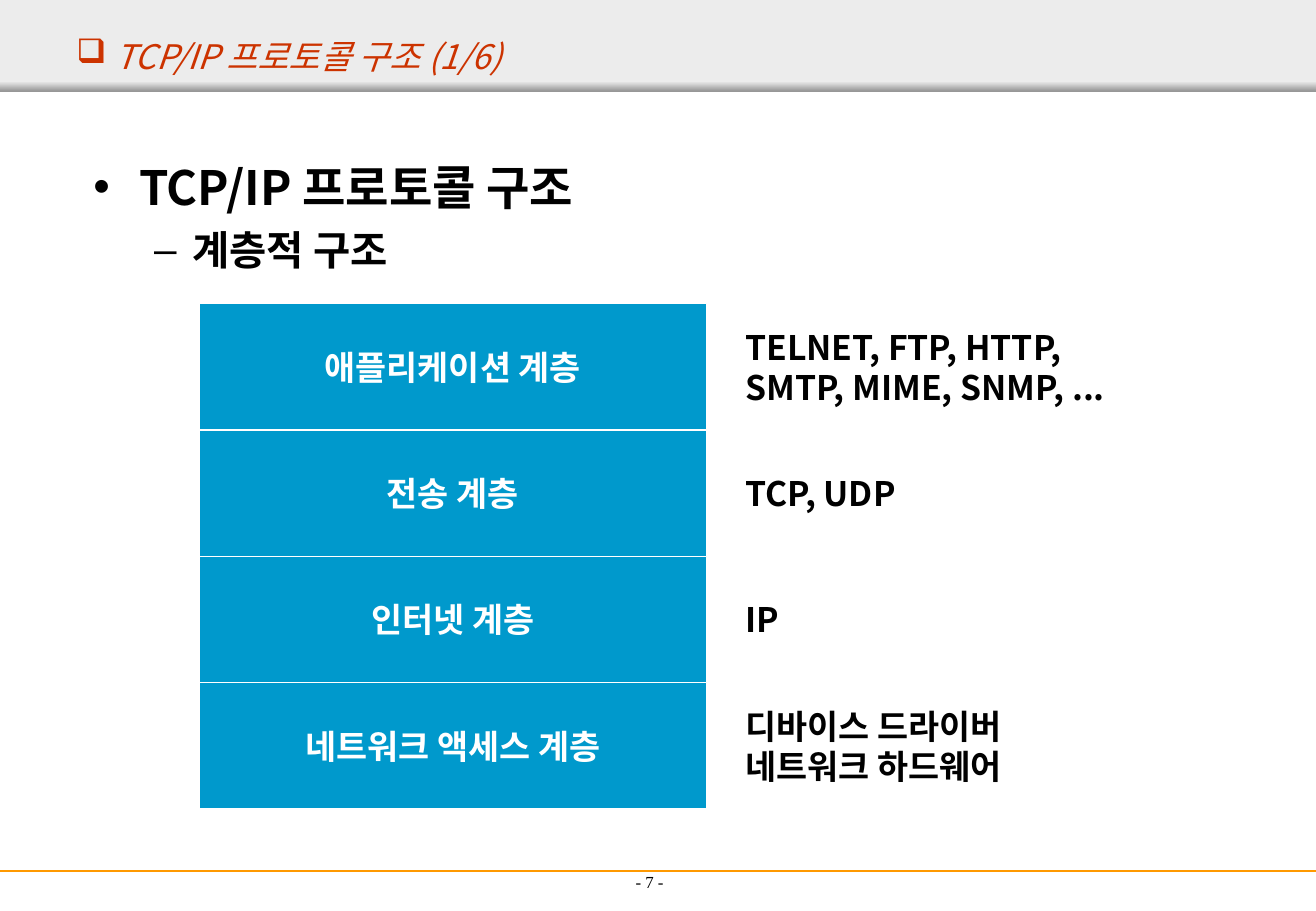
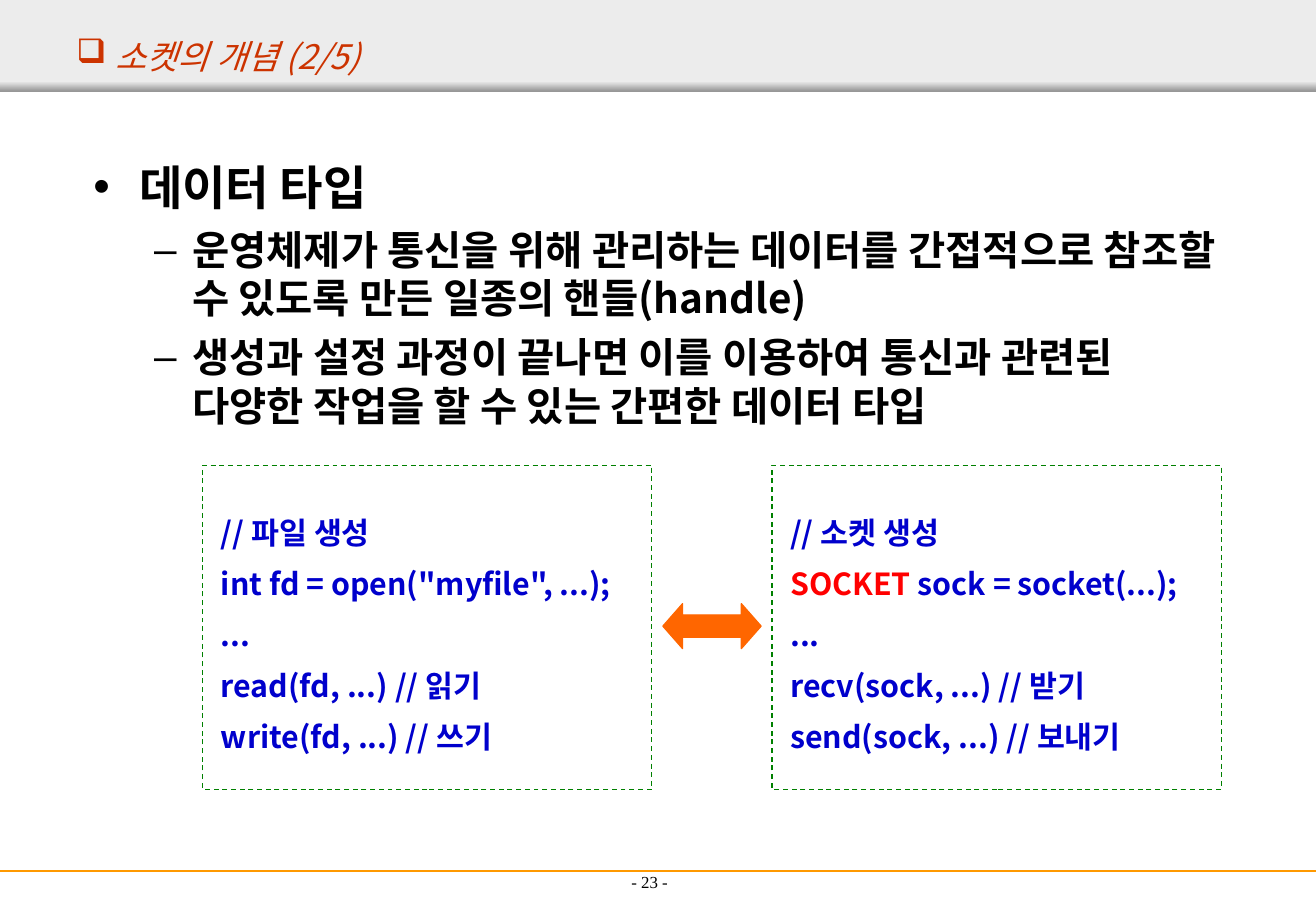
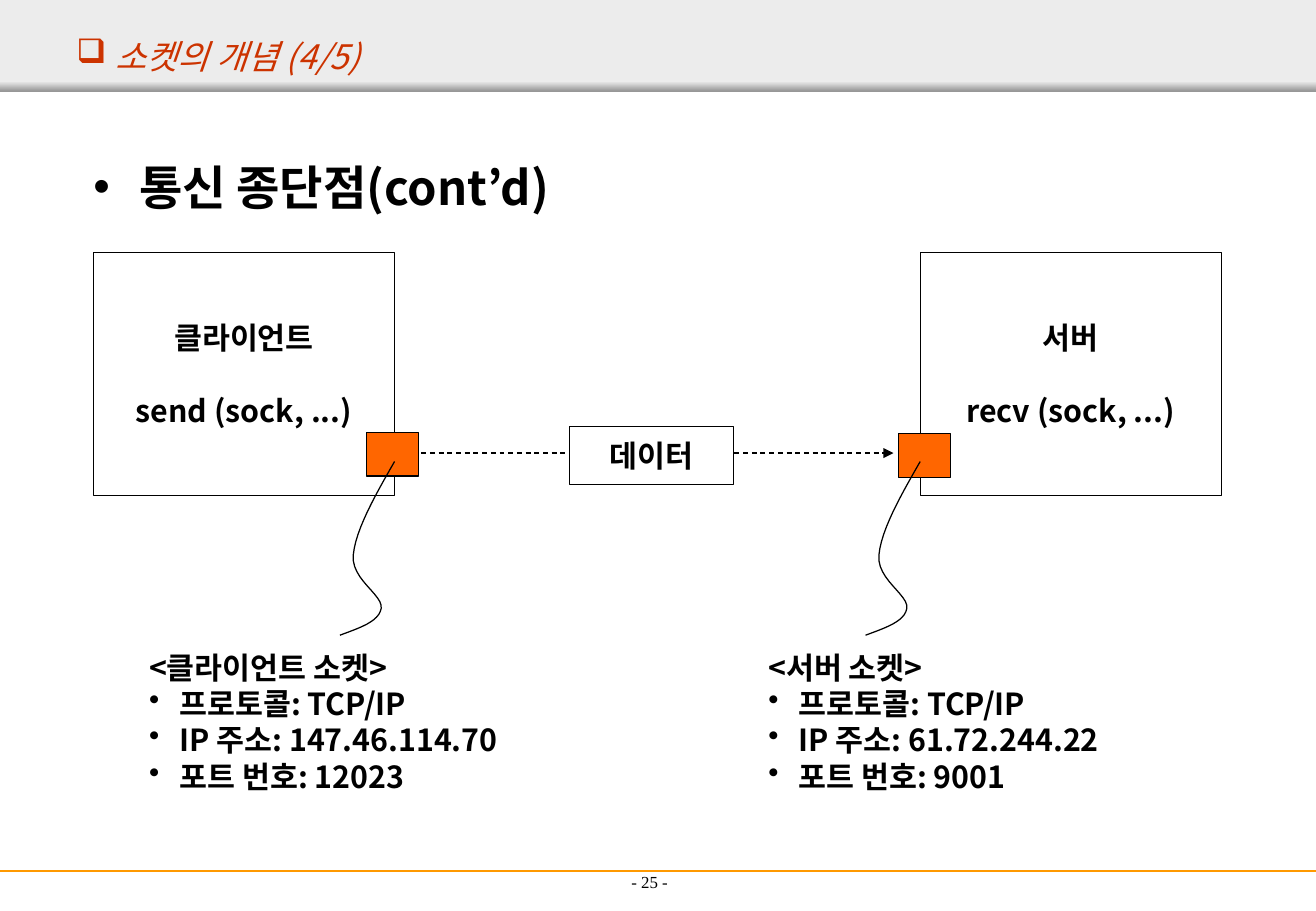
from lxml import etree
from pptx import Presentation
from pptx.dml.color import RGBColor
from pptx.enum.dml import MSO_LINE
from pptx.enum.shapes import MSO_CONNECTOR, MSO_SHAPE
from pptx.enum.text import MSO_ANCHOR, MSO_AUTO_SIZE, PP_ALIGN
from pptx.oxml.ns import qn
from pptx.util import Inches, Pt

RECTANGLE = MSO_SHAPE.RECTANGLE
DOUBLE_ARROW = MSO_SHAPE.LEFT_RIGHT_ARROW
STRAIGHT = MSO_CONNECTOR.STRAIGHT
DASH = MSO_LINE.DASH
LEFT, CENTER = PP_ALIGN.LEFT, PP_ALIGN.CENTER
TOP, MIDDLE, BOTTOM = MSO_ANCHOR.TOP, MSO_ANCHOR.MIDDLE, MSO_ANCHOR.BOTTOM

WIDTH, HEIGHT = 10.84, 7.5
SANS, SERIF = "Noto Sans CJK KR", "Times New Roman"
COLORS = {
    "band": "ECECEC", "band_edge": "979797", "rule": "FF9900", "title": "CC3300",
    "text": "000000", "white": "FFFFFF", "layer": "0099CC", "code": "0000CC",
    "keyword": "FF0000", "code_frame": "008000", "accent": "FF6600",
}

LAYERS = [
    ("애플리케이션 계층", ["TELNET, FTP, HTTP,", "SMTP, MIME, SNMP, ..."]),
    ("전송 계층", ["TCP, UDP"]),
    ("인터넷 계층", ["IP"]),
    ("네트워크 액세스 계층", ["디바이스 드라이버", "네트워크 하드웨어"]),
]
CODE_BOXES = [
    ["// 파일 생성", 'int fd = open("myfile", ...);', "...",
     "read(fd, ...) // 읽기", "write(fd, ...) // 쓰기"],
    ["// 소켓 생성", [("SOCKET", "keyword"), (" sock = socket(...);", "code")], "...",
     "recv(sock, ...) // 받기", "send(sock, ...) // 보내기"],
]
ENDPOINTS = [
    {"lines": ["클라이언트", "send (sock, ...)"], "box": 0.77, "edge": 3.25,
     "socket": (3.02, 3.56), "note": (1.13, 3.84), "heading": "<클라이언트 소켓>",
     "facts": ["프로토콜: TCP/IP", "IP 주소: 147.46.114.70", "포트 번호: 12023"]},
    {"lines": ["서버", "recv (sock, ...)"], "box": 7.58, "edge": 7.58,
     "socket": (7.4, 3.57), "note": (6.23, 3.11), "heading": "<서버 소켓>",
     "facts": ["프로토콜: TCP/IP", "IP 주소: 61.72.244.22", "포트 번호: 9001"]},
]
LEADER_CURVES = [
    [(0, 0), (-0.16, 0.28), (-0.32, 0.56), (-0.34, 0.77)],
    [(-0.34, 0.77), (-0.36, 0.97), (-0.09, 1.1), (-0.11, 1.21)],
    [(-0.11, 1.21), (-0.13, 1.32), (-0.29, 1.37), (-0.45, 1.43)],
]
CURVE_STEPS = 12


def rgb(name):
    return RGBColor.from_string(COLORS[name])


def place(shape, left, top, width, height):
    shape.left, shape.top = Inches(left), Inches(top)
    shape.width, shape.height = Inches(width), Inches(height)


def set_font(font, size, color, name=SANS, bold=True, italic=False):
    font.size, font.name, font.bold, font.italic = Pt(size), name, bold, italic
    font.color.rgb = rgb(color)
    latin = font._element.find(qn("a:latin"))
    east_asian = etree.Element(qn("a:ea"), typeface=name)
    latin.addnext(east_asian)


def add_bullet(paragraph, mark, indent):
    properties = paragraph._p.get_or_add_pPr()
    properties.set("marL", str(Inches(indent)))
    properties.set("indent", str(-Inches(indent)))
    etree.SubElement(properties, qn("a:buChar"), char=mark)


def write(shape, lines, size, color="text", align=LEFT, anchor=MIDDLE, gap=0,
          spacing=None, bullets=None, **font_options):
    frame = shape.text_frame
    frame.word_wrap, frame.auto_size = True, MSO_AUTO_SIZE.NONE
    frame.vertical_anchor = anchor
    for index, line in enumerate(lines):
        para = frame.add_paragraph() if index else frame.paragraphs[0]
        para.alignment = align
        para.space_before = Pt(gap if index else 0)
        if spacing:
            para.line_spacing = spacing
        if bullets and bullets[index]:
            add_bullet(para, *bullets[index])
        set_font(para.font, size, color, **font_options)
        if isinstance(line, str):
            para.add_run().text = line
            continue
        for text, span_color in line:
            span = para.add_run()
            span.text = text
            span.font.color.rgb = rgb(span_color)


def style_line(line, color, width=0.75, dash=None):
    line.color.rgb = rgb(color)
    line.width = Pt(width)
    if dash:
        line.dash_style = dash


def add_box(page, area, fill=None, line=None, dash=None, kind=RECTANGLE):
    box = page.shapes.add_shape(kind, *map(Inches, area))
    box.shadow.inherit = False
    if fill:
        box.fill.solid()
        box.fill.fore_color.rgb = rgb(fill)
    else:
        box.fill.background()
    if line:
        style_line(box.line, line, dash=dash)
    else:
        box.line.fill.background()
    return box


def add_text(page, area, lines, size, **options):
    box = page.shapes.add_textbox(*map(Inches, area))
    write(box, lines, size, **options)
    return box


def add_line(page, start, end, color, width=0.75, dash=None, arrow=False):
    connector = page.shapes.add_connector(STRAIGHT, *map(Inches, start + end))
    style_line(connector.line, color, width, dash)
    properties = connector.element.spPr
    if arrow:
        etree.SubElement(properties.find(qn("a:ln")), qn("a:tailEnd"), type="triangle")
    etree.SubElement(properties, qn("a:effectLst"))
    return connector


def curve_points(curve):
    for step in range(1, CURVE_STEPS + 1):
        t = step / CURVE_STEPS
        weights = ((1 - t) ** 3, 3 * t * (1 - t) ** 2, 3 * t ** 2 * (1 - t), t ** 3)
        yield tuple(sum(w * point[axis] for w, point in zip(weights, curve))
                    for axis in (0, 1))


def add_leader(page, left, top):
    builder = page.shapes.build_freeform(Inches(left), Inches(top))
    points = [(Inches(left + x), Inches(top + y))
              for curve in LEADER_CURVES for x, y in curve_points(curve)]
    builder.add_line_segments(points, close=False)
    leader = builder.convert_to_shape()
    leader.shadow.inherit = False
    leader.fill.background()
    style_line(leader.line, "text")


def prepare_layout(layout, page):
    place(layout.placeholders[0], 0.53, 0.25, 10.31, 0.42)
    place(layout.placeholders[1], 0.67, 1.25, 9.5, 5.44)
    band = add_box(page, (0, 0, WIDTH, 0.75), "band")
    edge = add_box(page, (0, 0.67, WIDTH, 0.08))
    edge.fill.gradient()
    edge.fill.gradient_angle = 270
    for stop, color in zip(edge.fill.gradient_stops, ("band", "band_edge")):
        stop.color.rgb = rgb(color)
    rule = add_line(page, (0, 7.17), (WIDTH, 7.17), "rule", 1.5)
    for offset, shape in enumerate((band, edge, rule)):
        layout.shapes.element.insert(2 + offset, shape.element)


def fill_page(page, title, number, topic, details):
    write(page.shapes.title, [title], 20, "title", bold=False, italic=True,
          bullets=[("❑", 0.32)])
    body = page.placeholders[1]
    write(body, [topic] + details, 28, anchor=TOP, gap=6)
    for para in body.text_frame.paragraphs[1:]:
        para.level = 1
        para.font.size = Pt(24)
    add_text(page, (3.69, 6.89, 3.32, 0.5), [f"- {number} -"], 10, align=CENTER,
             anchor=BOTTOM, name=SERIF, bold=False)


def draw_layers(page):
    top, height = 2.5, 1.04
    for row, (layer, protocols) in enumerate(LAYERS):
        y = top + row * height
        box = add_box(page, (1.64, y, 4.18, height), "layer", "white")
        write(box, [layer], 20, "white", CENTER)
        add_text(page, (6.04, y, 3.54, height), protocols, 20)


def draw_code(page):
    left, top, width, height, gap = 1.67, 3.83, 3.7, 2.67, 0.99
    for column, lines in enumerate(CODE_BOXES):
        box = add_box(page, (left + column * (width + gap), top, width, height),
                      line="code_frame", dash=DASH)
        box.text_frame.margin_left = Inches(0.15)
        write(box, lines, 18, "code", spacing=1.4)
    arrow = add_box(page, (left + width + 0.09, 4.97, gap - 0.18, 0.37),
                    "accent", "accent", kind=DOUBLE_ARROW)
    arrow.adjustments[1] = 0.44


def draw_endpoints(page):
    for end in ENDPOINTS:
        box = add_box(page, (end["box"], 2.08, 2.48, 2), line="text")
        write(box, end["lines"], 18, align=CENTER, gap=22)
    add_line(page, (3.47, 3.73), (7.36, 3.73), "text", dash=DASH, arrow=True)
    data = add_box(page, (4.69, 3.51, 1.35, 0.48), "white", "text")
    write(data, ["데이터"], 18, align=CENTER)
    for end in ENDPOINTS:
        add_box(page, end["socket"] + (0.43, 0.36), "accent", "text")
        add_leader(page, end["edge"], 3.8)
        left, width = end["note"]
        add_text(page, (left, 5.13, width, 1.62), [end["heading"]] + end["facts"], 18,
                 bullets=[None] + [("•", 0.25)] * len(end["facts"]))


PAGES = [
    ("TCP/IP 프로토콜 구조 (1/6)", 7, "TCP/IP 프로토콜 구조", ["계층적 구조"], draw_layers),
    ("소켓의 개념 (2/5)", 23, "데이터 타입",
     ["운영체제가 통신을 위해 관리하는 데이터를 간접적으로 참조할 수 있도록 만든 일종의 핸들(handle)",
      "생성과 설정 과정이 끝나면 이를 이용하여 통신과 관련된 다양한 작업을 할 수 있는 간편한 데이터 타입"],
     draw_code),
    ("소켓의 개념 (4/5)", 25, "통신 종단점(cont’d)", [], draw_endpoints),
]


def main():
    deck = Presentation()
    deck.slide_width, deck.slide_height = Inches(WIDTH), Inches(HEIGHT)
    layout = deck.slide_layouts[1]
    for index, (title, number, topic, details, draw) in enumerate(PAGES):
        page = deck.slides.add_slide(layout)
        if index == 0:
            prepare_layout(layout, page)
        fill_page(page, title, number, topic, details)
        draw(page)
    deck.save("out.pptx")


if __name__ == "__main__":
    main()
